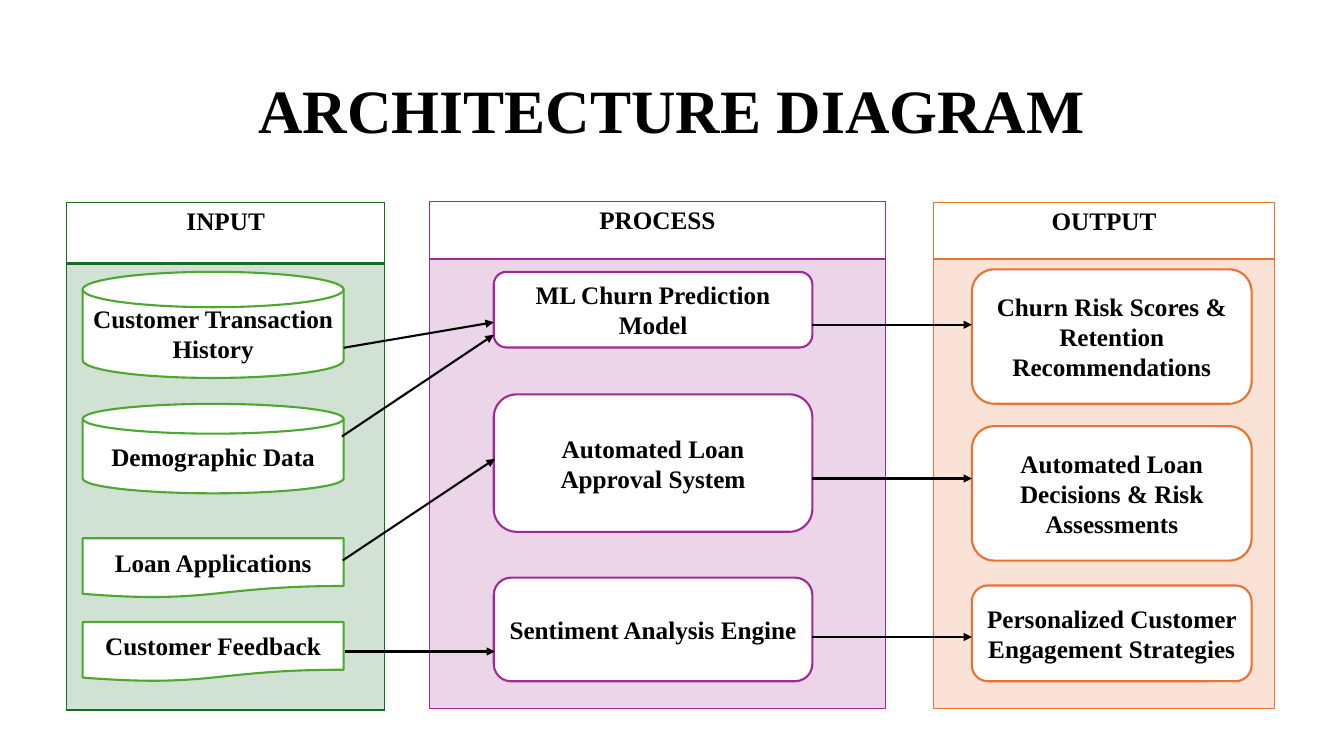
"""Build the architecture diagram slide with input, process and output panels."""
from dataclasses import dataclass

from lxml import etree
from pptx import Presentation
from pptx.dml.color import RGBColor
from pptx.enum.shapes import MSO_CONNECTOR, MSO_SHAPE
from pptx.enum.text import MSO_ANCHOR, PP_ALIGN
from pptx.oxml.ns import qn
from pptx.util import Pt

DISK = MSO_SHAPE.FLOWCHART_MAGNETIC_DISK
DOCUMENT = MSO_SHAPE.FLOWCHART_DOCUMENT
ROUNDED = MSO_SHAPE.ROUNDED_RECTANGLE
STRAIGHT = MSO_CONNECTOR.STRAIGHT
CENTER = PP_ALIGN.CENTER
MIDDLE = MSO_ANCHOR.MIDDLE


@dataclass(frozen=True)
class Theme:
    font: str = "Times New Roman"
    title_size: int = 44
    text_size: int = 18
    text: str = "000000"
    paper: str = "FFFFFF"
    input: str = "196B24"
    store: str = "4EA72E"
    process: str = "A02B93"
    output: str = "E97132"
    line: float = 1.5
    tint: int = 20000


class Diagram:
    def __init__(self, prs, theme):
        self.theme = theme
        self.s = prs.slides.add_slide(prs.slide_layouts[5])

    def label(self, tf, text, size):
        tf.text = text
        p = tf.paragraphs[0]
        p.alignment = CENTER
        p.font.name = self.theme.font
        p.font.size = Pt(size)
        p.font.bold = True
        p.font.color.rgb = RGBColor.from_string(self.theme.text)
        return p

    def title(self, text, x, y, w, h):
        sp = self.s.shapes.title
        sp.left, sp.top, sp.width, sp.height = Pt(x), Pt(y), Pt(w), Pt(h)
        sp.text_frame.vertical_anchor = MIDDLE
        self.label(sp.text_frame, text, self.theme.title_size).line_spacing = 0.9

    def border(self, cell, color, bottom):
        tcPr = cell._tc.get_or_add_tcPr()
        for side, width in (("L", 1), ("R", 1), ("T", 1), ("B", bottom)):
            ln = etree.SubElement(tcPr, qn(f"a:ln{side}"), w=str(Pt(width)))
            fill = etree.SubElement(ln, qn("a:solidFill"))
            etree.SubElement(fill, qn("a:srgbClr"), val=color)

    def panel(self, heading, color, x, y, w, head, body):
        frame = self.s.shapes.add_table(2, 1, Pt(x), Pt(y), Pt(w), Pt(head + body))
        table = frame.table
        table.first_row = table.horz_banding = False
        table.rows[0].height, table.rows[1].height = Pt(head), Pt(body)
        top, base = table.cell(0, 0), table.cell(1, 0)
        self.border(top, color, 2)
        self.border(base, color, 1)
        top.fill.background()
        self.label(top.text_frame, heading, self.theme.text_size)
        base.fill.solid()
        base.fill.fore_color.rgb = RGBColor.from_string(color)
        srgb = base._tc.tcPr.find(qn("a:solidFill")).find(qn("a:srgbClr"))
        etree.SubElement(srgb, qn("a:alpha"), val=str(self.theme.tint))

    def box(self, kind, text, color, x, y, w, h):
        sp = self.s.shapes.add_shape(kind, Pt(x), Pt(y), Pt(w), Pt(h))
        sp.shadow.inherit = False
        sp.fill.solid()
        sp.fill.fore_color.rgb = RGBColor.from_string(self.theme.paper)
        sp.line.color.rgb = RGBColor.from_string(color)
        sp.line.width = Pt(self.theme.line)
        sp.text_frame.word_wrap = True
        sp.text_frame.vertical_anchor = MIDDLE
        self.label(sp.text_frame, text, self.theme.text_size)

    def arrow(self, x1, y1, x2, y2):
        c = self.s.shapes.add_connector(STRAIGHT, Pt(x1), Pt(y1), Pt(x2), Pt(y2))
        c.line.color.rgb = RGBColor.from_string(self.theme.text)
        c.line.width = Pt(self.theme.line)
        ln = c._element.spPr.find(qn("a:ln"))
        etree.SubElement(ln, qn("a:tailEnd"), type="triangle")
        etree.SubElement(c._element.spPr, qn("a:effectLst"))


def main():
    prs = Presentation()
    prs.slide_width, prs.slide_height = Pt(960), Pt(540)
    theme = Theme()
    d = Diagram(prs, theme)
    d.title("ARCHITECTURE DIAGRAM", 66, 28.8, 828, 104.4)

    d.panel("INPUT", theme.input, 47.7, 144.9, 227, 43.2, 319)
    d.panel("PROCESS", theme.process, 306.9, 144, 325.4, 41, 321.2)
    d.panel("OUTPUT", theme.output, 666.9, 144.9, 243.4, 40.2, 321.2)

    columns = (
        (theme.store, 59, 186.5, (
            (DISK, "Customer Transaction History", 194.2, 75.8),
            (DISK, "Demographic Data", 288.5, 63.9),
            (DOCUMENT, "Loan Applications", 384.5, 42.5),
            (DOCUMENT, "Customer Feedback", 444.3, 42.5))),
        (theme.process, 352.7, 227.6, (
            (ROUNDED, "ML Churn Prediction Model", 194.2, 54),
            (ROUNDED, "Automated Loan Approval System", 281.7, 98.2),
            (ROUNDED, "Sentiment Analysis Engine", 412.6, 74))),
        (theme.output, 694.2, 199.8, (
            (ROUNDED, "Churn Risk Scores & Retention Recommendations", 192.4, 96),
            (ROUNDED, "Automated Loan Decisions & Risk Assessments", 304.4, 96),
            (ROUNDED, "Personalized Customer Engagement Strategies", 418.2, 68.4))),
    )
    for color, x, w, boxes in columns:
        for kind, text, y, h in boxes:
            d.box(kind, text, color, x, y, w, h)

    for ends in ((245.5, 248.4, 352.7, 230.2), (244.2, 311.8, 352.7, 239.2),
                 (244.8, 400.3, 353.5, 327.8), (246.2, 465.4, 353.5, 465.4)):
        d.arrow(*ends)
    for y in (232, 341.8, 455):
        d.arrow(580.3, y, 694.2, y)

    prs.save("out.pptx")


if __name__ == "__main__":
    main()
